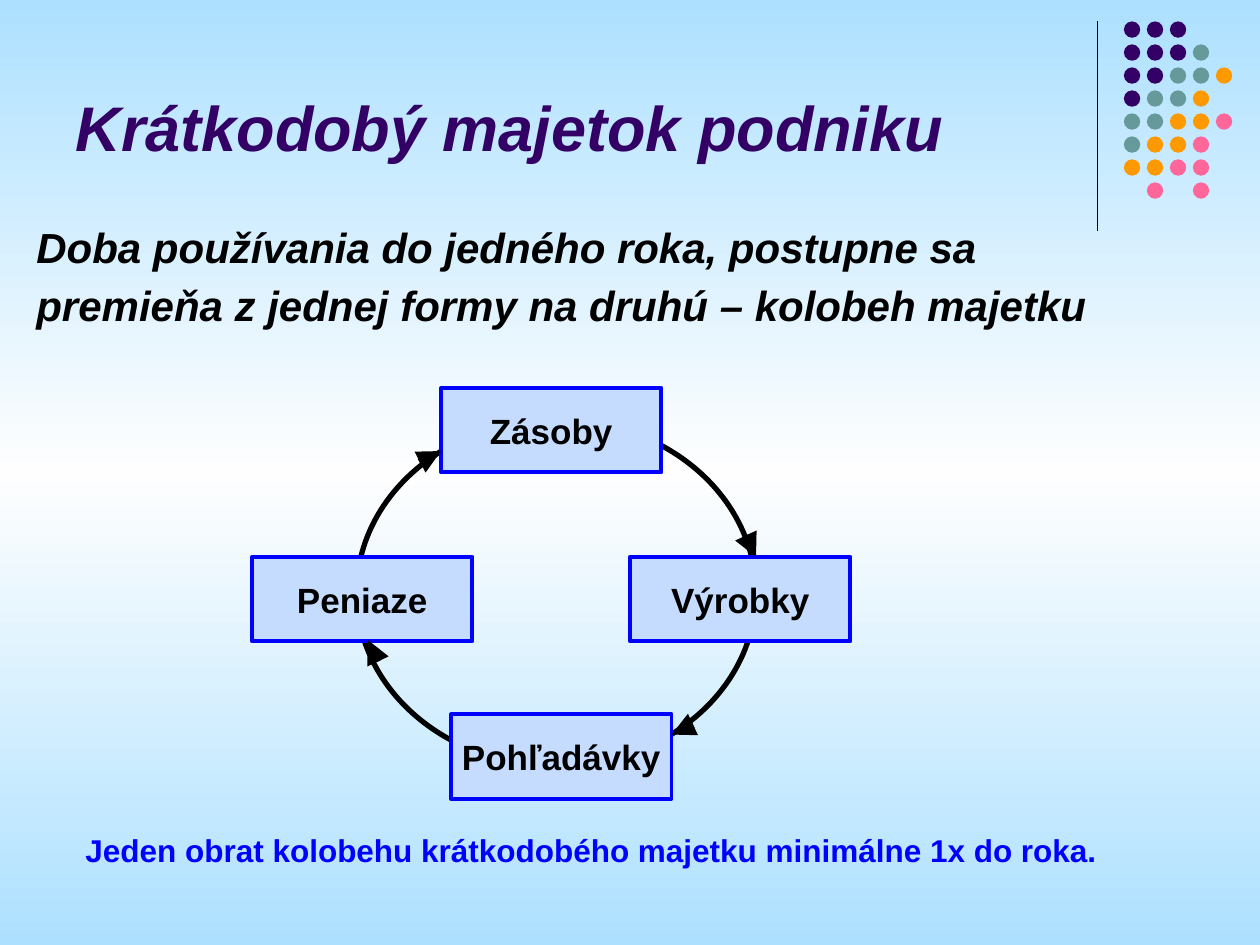
from copy import deepcopy

from lxml import etree
from pptx import Presentation
from pptx.dml.color import RGBColor
from pptx.enum.shapes import MSO_CONNECTOR, MSO_SHAPE
from pptx.enum.text import MSO_ANCHOR, MSO_AUTO_SIZE, PP_ALIGN
from pptx.oxml.ns import qn
from pptx.util import Inches, Pt

STRAIGHT = MSO_CONNECTOR.STRAIGHT
OVAL, RECTANGLE = MSO_SHAPE.OVAL, MSO_SHAPE.RECTANGLE
BOTTOM, MIDDLE = MSO_ANCHOR.BOTTOM, MSO_ANCHOR.MIDDLE
LEFT, CENTER = PP_ALIGN.LEFT, PP_ALIGN.CENTER
NO_AUTOFIT = MSO_AUTO_SIZE.NONE

COLORS = {
    "sky": "ADE0FF", "white": "FEFEFE", "black": "000000", "blue": "0000FF",
    "box": "C5DCFF", "purple": "330066", "teal": "669999",
    "orange": "FF9900", "pink": "FF6699",
}

TITLE = "Krátkodobý majetok podniku"
DEFINITION = ("Doba používania do jedného roka, postupne sa premieňa "
              "z jednej formy na druhú – kolobeh majetku")
TURNOVER = "Jeden obrat kolobehu krátkodobého majetku minimálne 1x do roka."

STAGES = [
    ("Zásoby", 3.5, 3.08),
    ("Výrobky", 5, 4.42),
    ("Pohľadávky", 3.58, 5.67),
    ("Peniaze", 2, 4.42),
]
STAGE_SIZE = (1.75, 0.67)
CYCLE = (2.83, 3.33, 3.17, 2.75)
ARROWS = [
    (3, 5.25, 2.92, 5.08),
    (3.33, 3.67, 3.5, 3.58),
    (5.92, 4.25, 6, 4.42),
    (5.5, 5.75, 5.33, 5.83),
]

DOT_ROWS = ["PPP", "PPPT", "PPTTO", "PTTO", "TTOOK", "TOOK", "OOKK", " K K"]
DOT_COLORS = {"P": "purple", "T": "teal", "O": "orange", "K": "pink"}
DOT_LEFT, DOT_TOP, DOT_SIZE = 8.92, 0.17, 0.13
DOT_PITCH = 0.73 / 4


def rgb(color):
    return RGBColor.from_string(COLORS[color])


def box(*lengths):
    return [Inches(length) for length in lengths]


def paint_background(slide):
    fill = slide.background.fill
    fill.gradient()
    fill.gradient_angle = 90
    stop_list = slide.background._cSld.find(".//" + qn("a:gsLst"))
    stop_list.insert(1, deepcopy(stop_list[0]))
    for stop, color, position in zip(
            fill.gradient_stops, ("sky", "white", "sky"), (0, 0.5, 1)):
        stop.color.rgb = rgb(color)
        stop.position = position


def add_line(slide, ends, width, arrow=False):
    line = slide.shapes.add_connector(STRAIGHT, *box(*ends))
    line.line.color.rgb = rgb("black")
    line.line.width = Pt(width)
    if arrow:
        etree.SubElement(line.line._get_or_add_ln(), qn("a:tailEnd"), type="triangle")
    etree.SubElement(line._element.spPr, qn("a:effectLst"))


def add_shape(slide, kind, place, fill=None, outline=None, width=0):
    shape = slide.shapes.add_shape(kind, *box(*place))
    shape.shadow.inherit = False
    if fill:
        shape.fill.solid()
        shape.fill.fore_color.rgb = rgb(fill)
    else:
        shape.fill.background()
    if outline:
        shape.line.color.rgb = rgb(outline)
        shape.line.width = Pt(width)
    else:
        shape.line.fill.background()
    return shape


def write(shape, text, size, color, align=LEFT, italic=False):
    frame = shape.text_frame
    frame.word_wrap = True
    frame.text = text
    paragraph = frame.paragraphs[0]
    paragraph.alignment = align
    font = paragraph.font
    font.name, font.size = "Arial", Pt(size)
    font.bold, font.italic = True, italic
    font.color.rgb = rgb(color)
    return paragraph


def main():
    deck = Presentation()
    deck.slide_width, deck.slide_height = box(10, 7.5)
    slide = deck.slides.add_slide(deck.slide_layouts[5])
    paint_background(slide)

    add_line(slide, (8.71, 0.17, 8.71, 1.83), 0.75)
    for row, dots in enumerate(DOT_ROWS):
        for column, dot in enumerate(dots):
            if dot in DOT_COLORS:
                place = (DOT_LEFT + column * DOT_PITCH, DOT_TOP + row * DOT_PITCH,
                         DOT_SIZE, DOT_SIZE)
                add_shape(slide, OVAL, place, DOT_COLORS[dot])

    title = slide.shapes.title
    title.left, title.top, title.width, title.height = box(0.5, 0.4, 8.25, 0.95)
    title.text_frame.vertical_anchor = BOTTOM
    title.text_frame.auto_size = NO_AUTOFIT
    write(title, TITLE, 36, "purple", italic=True)

    definition = slide.shapes.add_textbox(*box(0.19, 1.65, 8.68, 0.98))
    write(definition, DEFINITION, 24, "black", italic=True).line_spacing = 1.15

    add_shape(slide, OVAL, CYCLE, outline="black", width=3)
    for name, left, top in STAGES:
        stage = add_shape(slide, RECTANGLE, (left, top, *STAGE_SIZE), "box", "blue", 2.25)
        stage.text_frame.margin_left = stage.text_frame.margin_right = Inches(0.05)
        stage.text_frame.vertical_anchor = MIDDLE
        write(stage, name, 20, "black", CENTER)
    for ends in ARROWS:
        add_line(slide, ends, 4.5, arrow=True)

    turnover = slide.shapes.add_textbox(*box(0.58, 6.5, 8.42, 0.43))
    write(turnover, TURNOVER, 18, "blue").line_spacing = 1.15

    deck.save("out.pptx")


if __name__ == "__main__":
    main()
